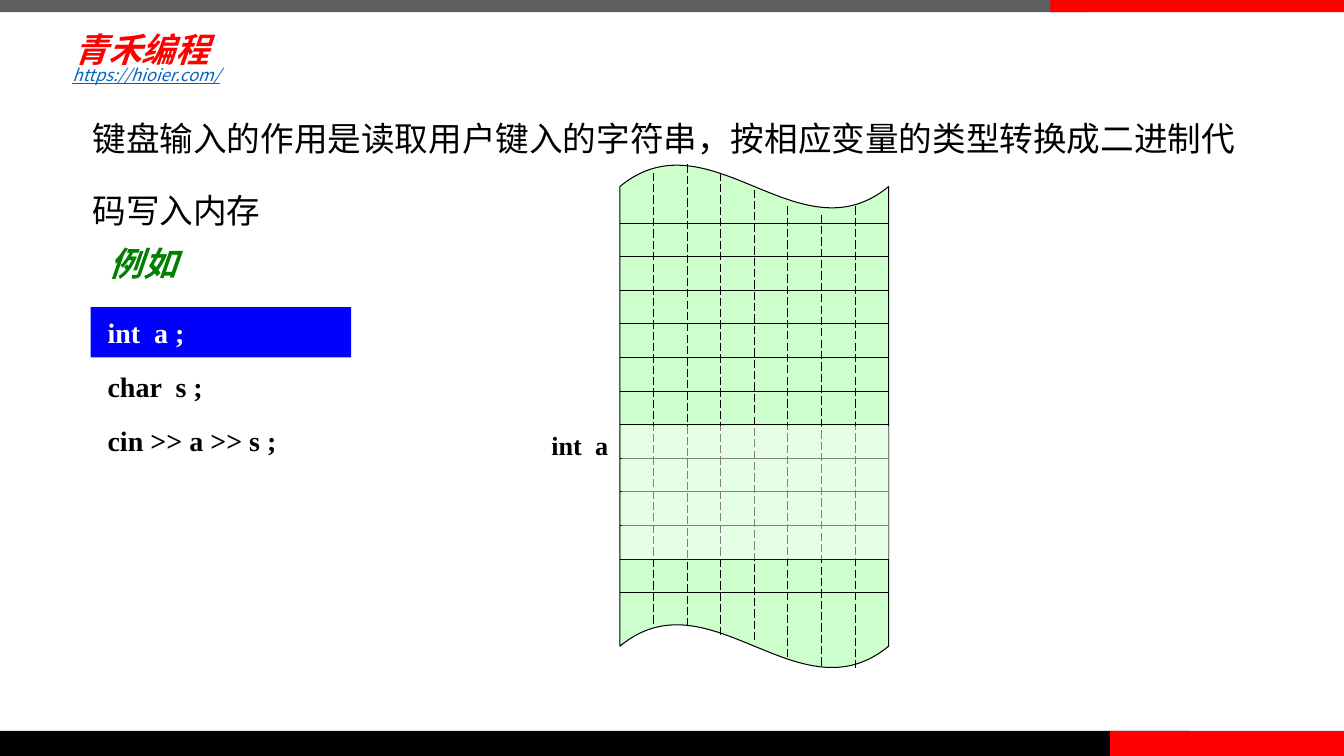
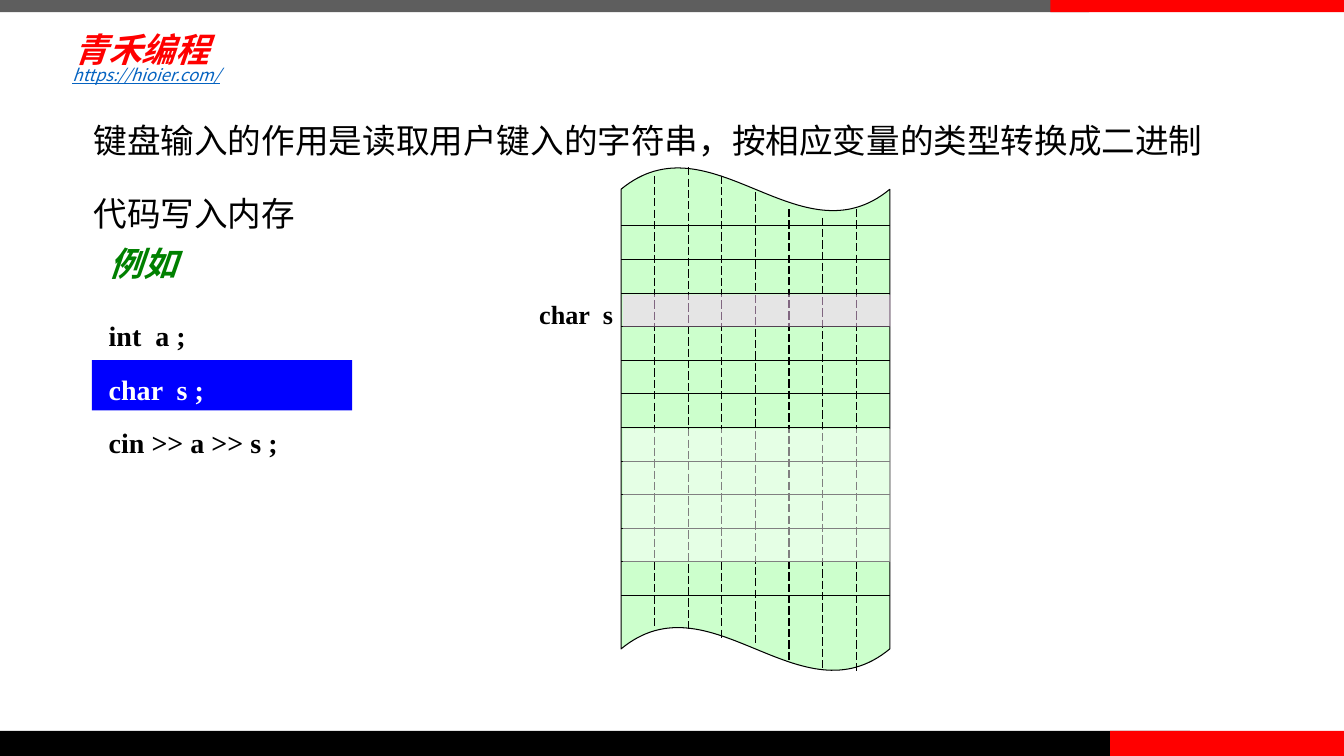
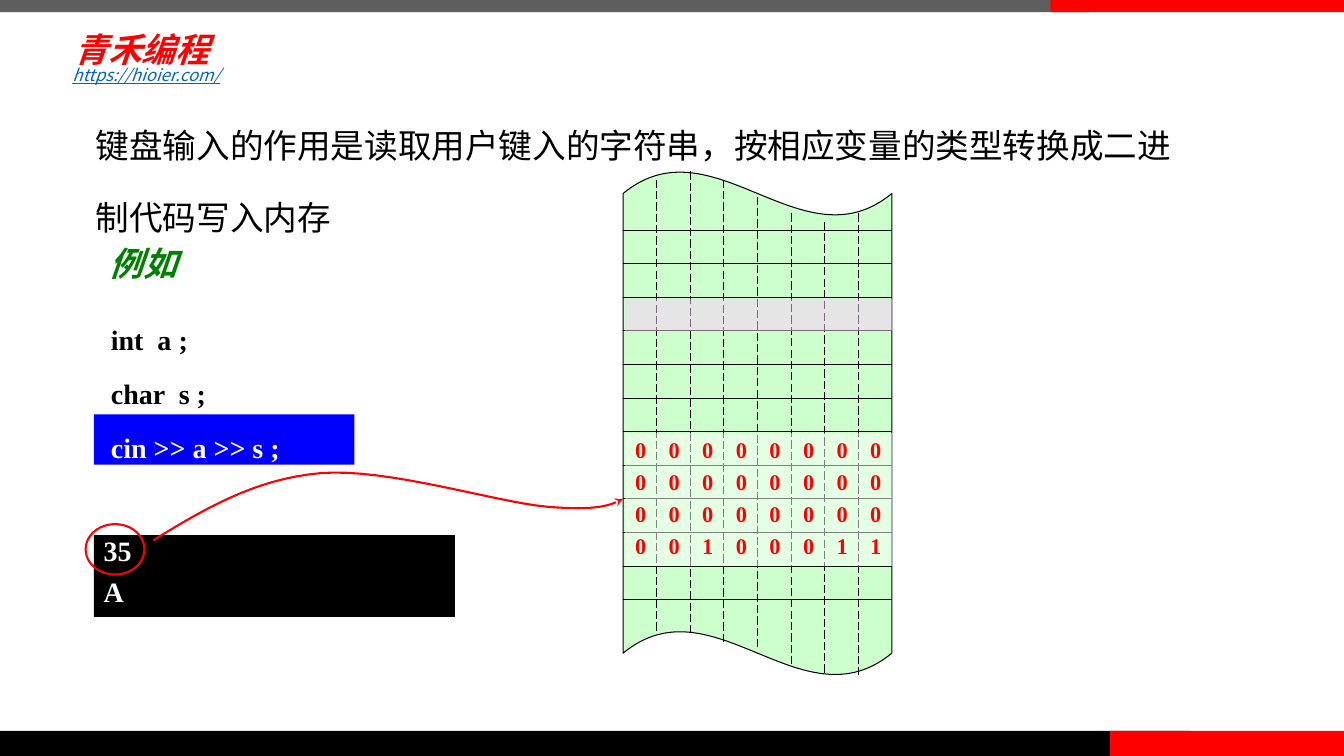
"""Build three slides on how keyboard input is written to memory."""
from pptx import Presentation
from pptx.dml.color import RGBColor
from pptx.enum.dml import MSO_LINE
from pptx.enum.shapes import MSO_CONNECTOR, MSO_SHAPE
from pptx.enum.text import MSO_ANCHOR
from pptx.oxml.ns import qn
from pptx.util import Pt
from lxml import etree

RECT, OVAL, WAVE = MSO_SHAPE.RECTANGLE, MSO_SHAPE.OVAL, MSO_SHAPE.WAVE
LINE, DASH = MSO_CONNECTOR.STRAIGHT, MSO_LINE.LONG_DASH
TOP, MID = MSO_ANCHOR.TOP, MSO_ANCHOR.MIDDLE
HEX = {"black": "000000", "white": "FFFFFF", "red": "FF0000", "gray": "5E5E5E",
       "blue": "0000FF", "link": "0563C1", "mint": "CCFFCC", "pink": "FFCCFF",
       "green": "008000"}
SANS, SERIF = "Noto Sans CJK SC", "Times New Roman"
CELL = 24
WIDE, HIGH = 8 * CELL, 15 * CELL
DASHES = [(6, 330), (0, 330), (6, 336), (18, 342), (30, 354), (36, 360), (30, 360)]
TITLE = "键盘输入的作用是读取用户键入的字符串，按相应变量的类型转换成二进制代码写入内存"
CODE = ["int  a ;", "char  s ;", "cin >> a >> s ;"]
BITS = ["00000000", "00000000", "00000000", "00100011"]
STAGES = [(0, 0, 845), (0.8, 2, 817), (2.3, 5, 803)]


def rgb(name):
    return RGBColor.from_string(HEX[name])


def paint(item, fill, line, width):
    item.shadow.inherit = False
    if fill:
        item.fill.solid()
        item.fill.fore_color.rgb = rgb(fill)
    else:
        item.fill.background()
    if line:
        item.line.color.rgb = rgb(line)
        item.line.width = Pt(width)
    else:
        item.line.fill.background()


def shape(page, kind, box, fill=None, line=None, width=0.75, alpha=None):
    item = page.shapes.add_shape(kind, *map(Pt, box))
    paint(item, fill, line, width)
    if alpha:
        tint = item.fill._xPr.find(".//" + qn("a:srgbClr"))
        etree.SubElement(tint, qn("a:alpha")).set("val", str(alpha * 1000))
    return item


def text(page, box, lines, size, color="black", font=SERIF, bold=False, slant=False,
         under=False, gap=None, before=0, wrap=True, anchor=TOP, inset=(7.2, 3.6),
         hot=None, tabs=()):
    frame = page.shapes.add_textbox(*map(Pt, box)).text_frame
    frame.word_wrap, frame.vertical_anchor = wrap, anchor
    frame.margin_left = frame.margin_right = Pt(inset[0])
    frame.margin_top = frame.margin_bottom = Pt(inset[1])
    for i, words in enumerate(lines):
        para = frame.add_paragraph() if i else frame.paragraphs[0]
        if gap:
            para.line_spacing = gap
        if i and before:
            para.space_before = Pt(before)
        if tabs:
            stops = etree.SubElement(para._p.get_or_add_pPr(), qn("a:tabLst"))
            for stop in tabs:
                etree.SubElement(stops, qn("a:tab"), pos=str(Pt(stop)), algn="l")
        run = para.add_run()
        run.text = words
        face = run.font
        face.size, face.name = Pt(size), font
        face.bold, face.italic, face.underline = bold, slant, under
        face.color.rgb = rgb("white" if i == hot else color)
        etree.SubElement(run._r.get_or_add_rPr(), qn("a:ea")).set("typeface", SANS)


def rule(page, x1, y1, x2, y2, dash=None):
    item = page.shapes.add_connector(LINE, *map(Pt, (x1, y1, x2, y2)))
    item.line.color.rgb, item.line.width = rgb("black"), Pt(0.75)
    if dash:
        item.line.dash_style = dash
    etree.SubElement(item._element.spPr, qn("a:effectLst"))


def curve(start, parts):
    spots = []
    for a, b, end in parts:
        for k in range(1, 17):
            t = k / 16
            u = 1 - t
            spots.append(tuple(Pt(u ** 3 * p + 3 * u * u * t * q + 3 * u * t * t * r + t ** 3 * s)
                               for p, q, r, s in zip(start, a, b, end)))
        start = end
    return spots


def arrow(page, start, parts):
    pen = page.shapes.build_freeform(*map(Pt, start))
    pen.add_line_segments(curve(start, parts), close=False)
    item = pen.convert_to_shape()
    paint(item, None, "red", 1.5)
    etree.SubElement(item.line._get_or_add_ln(), qn("a:tailEnd")).set("type", "stealth")


def frame(page):
    for box, fill in [((0, 0, 778, 8.8), "gray"), ((0, 522, 850, 18), "black"),
                      ((793, 522, 167, 18), "red"), ((750.4, 0, 209.6, 8.8), "red")]:
        shape(page, RECT, box, fill)
    text(page, (49, 16.5, 133, 37.5), ["青禾编程"], 24, "red", "Arial", bold=True,
         slant=True, anchor=MID, inset=(4.3, 4.3))
    text(page, (44.6, 42.5, 480, 21.6), ["https://hioier.com/"], 12, "link", SANS,
         slant=True, under=True)
    text(page, (71.3, 167, 118, 40), ["例如"], 24, "green", bold=True, slant=True, gap=1.1)


def memory(page, x, y):
    group = page.shapes.add_group_shape()
    wave = shape(group, WAVE, (x, y, WIDE, HIGH), "mint", "black")
    wave.adjustments[0], wave.adjustments[1] = 0.044, 0
    for i in range(12):
        row = y + 42 + i * CELL
        rule(group, x, row, x + WIDE, row)
    for i, (top, end) in enumerate(DASHES, 1):
        rule(group, x + i * CELL, y + top, x + i * CELL, y + end, DASH)


def label(page, words, x, y, wide):
    text(page, (x, y, wide, 30), [words], 18.7, bold=True, wrap=False)


def result(page, x, y):
    screen = (67, 382.3, 258, 58.3)
    shape(page, RECT, screen, "black")
    text(page, screen, ["35", "A"], 20, "white", bold=True, gap=0.8, before=10)
    shape(page, OVAL, (61.2, 374.4, 42, 36), None, "red", 1.5)
    text(page, (x + 1.4, y + 181.5, WIDE, 100), ["\t".join(row) for row in BITS], 16,
         "red", bold=True, gap=1.2, wrap=False, tabs=[i * CELL for i in range(1, 8)])
    arrow(page, (109.4, 386), [((145.4, 364), (182, 342), (229, 338)),
                               ((276.5, 334), (355, 359), (391, 362)),
                               ((427, 365), (436, 361), (445, 356.4))])


def build(page, step, dx, dy, wide):
    x, y = 442.8 + dx, 117.4 + dy
    frame(page)
    shape(page, RECT, (64.8 + dx, 219.4 + dy + 35.8 * step, 186, 36), "blue")
    text(page, (59 + dx, 57.4 + dy, wide, 104), [TITLE], 24, font=SANS, gap=1.8)
    text(page, (69.8 + dx, 207.4 + dy, 211, 124), CODE, 20, bold=True, gap=1.6, hot=step)
    memory(page, x, y)
    shape(page, RECT, (x + 1.4, y + 187, 191, 95), "white", alpha=50)
    if step:
        shape(page, RECT, (x + 1.4, y + 91, 191, 23), "pink", alpha=50)
    if step == 0:
        label(page, "int  a", x - 56, y + 186, 55.4)
    elif step == 1:
        label(page, "char  s", x - 65.5, y + 90, 67.7)
    else:
        result(page, x, y)


def main():
    deck = Presentation()
    deck.slide_width, deck.slide_height = Pt(960), Pt(540)
    for step, place in enumerate(STAGES):
        build(deck.slides.add_slide(deck.slide_layouts[6]), step, *place)
    deck.save("out.pptx")


if __name__ == "__main__":
    main()
